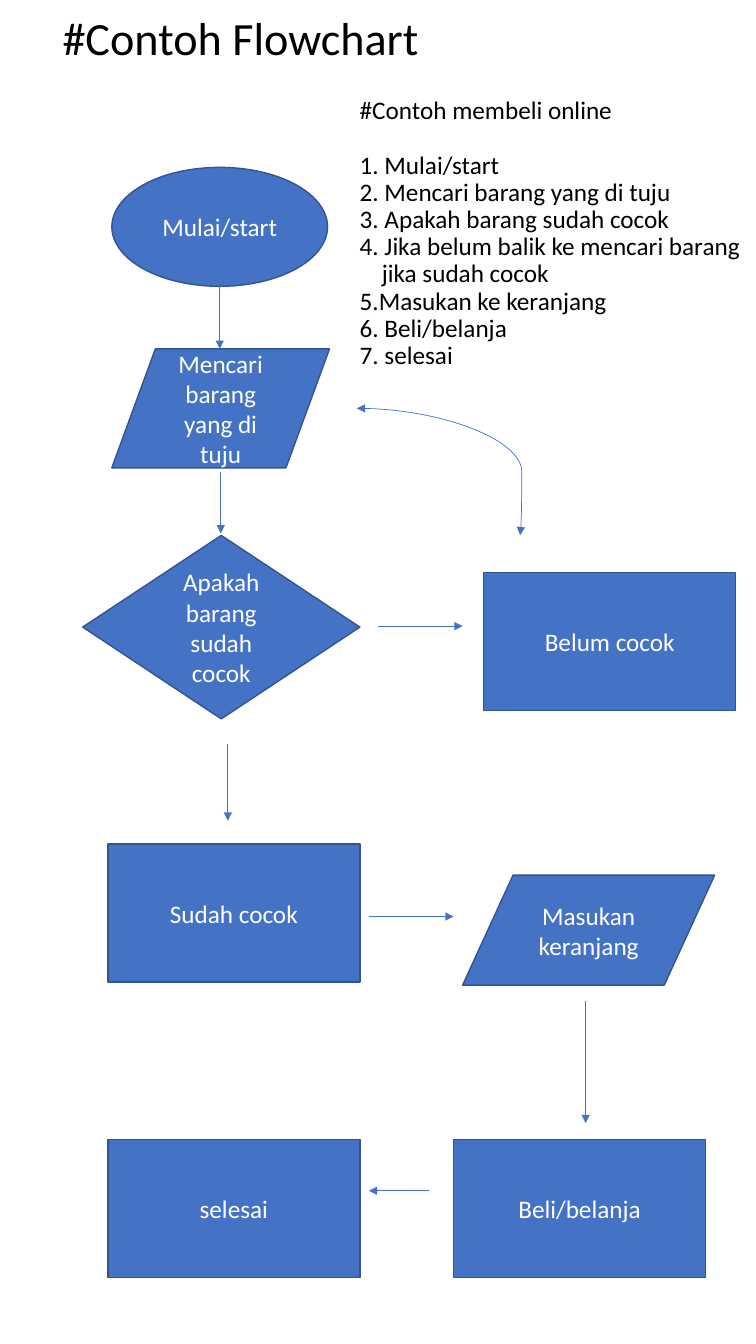
from pptx import Presentation
from pptx.dml.color import RGBColor
from pptx.enum.shapes import MSO_CONNECTOR, MSO_SHAPE
from pptx.enum.text import MSO_ANCHOR, MSO_AUTO_SIZE, PP_ALIGN
from pptx.oxml import parse_xml
from pptx.oxml.ns import nsdecls, qn
from pptx.util import Inches, Pt

BLUE = RGBColor(0x44, 0x72, 0xC4)
DARK_BLUE = RGBColor(0x32, 0x54, 0x91)
WHITE = RGBColor(0xFF, 0xFF, 0xFF)
BLACK = RGBColor(0, 0, 0)


def apply_format(target, values):
    for name, value in values.items():
        setattr(target, name, value)


class FlowchartSlide:
    font_name = "Calibri"
    body_size = Pt(18)
    title_size = Pt(33)
    frame_format = {"word_wrap": True, "auto_size": MSO_AUTO_SIZE.NONE,
                    "vertical_anchor": MSO_ANCHOR.MIDDLE}
    left_format = {"alignment": PP_ALIGN.LEFT, "line_spacing": 0.9,
                   "space_before": Pt(0)}

    def __init__(self, presentation):
        self.slide = presentation.slides.add_slide(presentation.slide_layouts[5])

    def add_text(self, paragraph, text, size, color, paragraph_format):
        run = paragraph.add_run()
        run.text = text
        apply_format(run.font, {"name": self.font_name, "size": size})
        run.font.color.rgb = color
        apply_format(paragraph, paragraph_format)

    def title(self, text, left, top, width, height):
        shape = self.slide.shapes.title
        apply_format(shape, {"left": Inches(left), "top": Inches(top),
                             "width": Inches(width), "height": Inches(height)})
        apply_format(shape.text_frame, self.frame_format)
        self.add_text(shape.text_frame.paragraphs[0], text, self.title_size,
                      BLACK, self.left_format)

    def text_list(self, heading, steps, left, top, width, height):
        shape = self.slide.shapes.add_textbox(
            Inches(left), Inches(top), Inches(width), Inches(height))
        frame = shape.text_frame
        apply_format(frame, {**self.frame_format, "margin_right": 0})
        self.add_text(frame.paragraphs[0], heading, self.body_size, BLACK,
                      {**self.left_format, "space_after": Pt(19.5)})
        for text, indent in steps:
            paragraph = frame.add_paragraph()
            self.add_text(paragraph, text, self.body_size, BLACK, self.left_format)
            if indent:
                paragraph._p.get_or_add_pPr().set("marL", str(Inches(indent)))

    def node(self, kind, text, left, top, width, height):
        shape = self.slide.shapes.add_shape(
            kind, Inches(left), Inches(top), Inches(width), Inches(height))
        shape.shadow.inherit = False
        shape.fill.solid()
        shape.fill.fore_color.rgb = BLUE
        shape.line.color.rgb = DARK_BLUE
        shape.line.width = Pt(1)
        apply_format(shape.text_frame, self.frame_format)
        self.add_text(shape.text_frame.paragraphs[0], text, self.body_size, WHITE,
                      {"alignment": PP_ALIGN.CENTER})

    def arrow(self, start, end, kind=MSO_CONNECTOR.STRAIGHT, ends=("tailEnd",)):
        connector = self.slide.shapes.add_connector(
            kind, *(Inches(value) for value in (*start, *end)))
        connector.line.color.rgb = BLUE
        connector.line.width = Pt(0.5)
        properties = connector._element.spPr
        line = properties.find(qn("a:ln"))
        for name in ends:
            line.append(
                parse_xml(f'<a:{name} {nsdecls("a")} type="triangle"/>'))
        properties.append(parse_xml(f'<a:effectLst {nsdecls("a")}/>'))
        return connector

    def curved_arrow(self, start, end, bend):
        connector = self.arrow(start, end, MSO_CONNECTOR.CURVE,
                               ("headEnd", "tailEnd"))
        geometry = connector._element.spPr.find(qn("a:prstGeom"))
        for child in list(geometry):
            geometry.remove(child)
        geometry.append(parse_xml(
            f'<a:avLst {nsdecls("a")}><a:gd name="adj1" '
            f'fmla="val {round(bend * 100000)}"/></a:avLst>'))


presentation = Presentation()
presentation.slide_width = Inches(7.5)
presentation.slide_height = Inches(13.33)
flowchart = FlowchartSlide(presentation)

# Title and list of steps
flowchart.title("#Contoh Flowchart", 0.52, 0, 6.47, 0.81)
flowchart.text_list("#Contoh membeli online", [
    ("1. Mulai/start", 0),
    ("2. Mencari barang yang di tuju", 0),
    ("3. Apakah barang sudah cocok", 0),
    ("4. Jika belum balik ke mencari barang", 0),
    ("jika sudah cocok", 0.22),
    ("5.Masukan ke keranjang", 0),
    ("6. Beli/belanja", 0),
    ("7. selesai", 0),
], 3.47, 1.15, 4.03, 2.34)

# Start, input and decision
flowchart.node(MSO_SHAPE.FLOWCHART_CONNECTOR, "Mulai/start", 1.11, 1.66, 2.14, 1.18)
flowchart.node(MSO_SHAPE.FLOWCHART_DATA, "Mencari barang yang di tuju",
               1.11, 3.46, 2.16, 1.18)
flowchart.node(MSO_SHAPE.FLOWCHART_DECISION, "Apakah barang sudah cocok",
               0.82, 5.31, 2.75, 1.82)
flowchart.node(MSO_SHAPE.FLOWCHART_DATA, "Masukan keranjang", 4.59, 8.68, 2.5, 1.09)

# Process boxes share one size
for text, left, top in [
    ("Belum cocok", 4.8, 5.68),
    ("Sudah cocok", 1.07, 8.37),
    ("Beli/belanja", 4.5, 11.3),
    ("selesai", 1.07, 11.3),
]:
    flowchart.node(MSO_SHAPE.FLOWCHART_PROCESS, text, left, top, 2.5, 1.37)

# Arrows down the flow
for x, top, bottom in [(2.18, 2.84, 3.46), (2.19, 4.68, 5.29),
                       (2.26, 7.38, 8.14), (5.81, 9.93, 11.14)]:
    flowchart.arrow((x, top), (x, bottom))

# Arrows across the flow
for y, start, end in [(6.21, 3.75, 4.59), (9.09, 3.66, 4.5), (11.81, 4.26, 3.66)]:
    flowchart.arrow((start, y), (end, y))

# Return to the search
flowchart.curved_arrow((3.54, 4.05), (5.16, 5.31), 1.01)

presentation.save("out.pptx")
